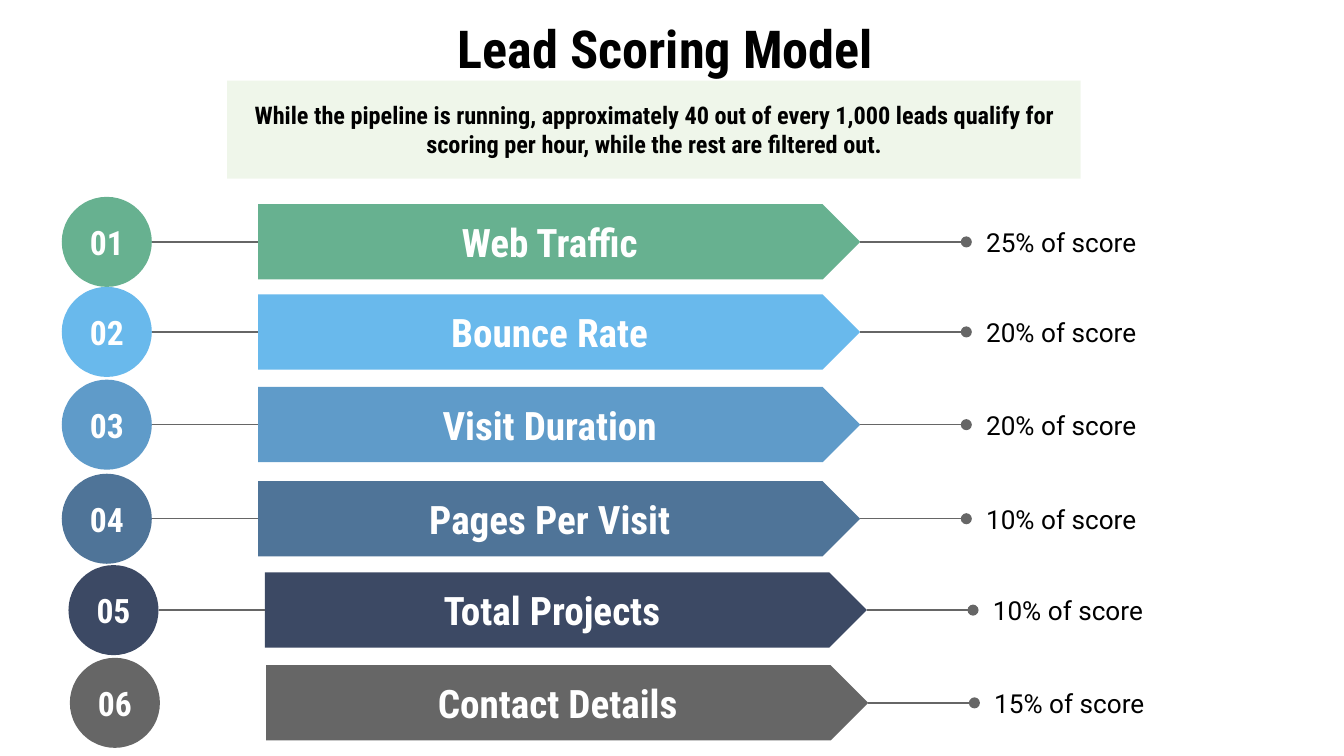
from lxml import etree
from pptx import Presentation
from pptx.dml.color import RGBColor
from pptx.enum.shapes import MSO_CONNECTOR, MSO_SHAPE
from pptx.enum.text import MSO_ANCHOR, MSO_AUTO_SIZE, PP_ALIGN
from pptx.oxml.ns import qn
from pptx.util import Inches, Pt

HEADING_FONT = "Roboto Condensed"
BODY_FONT = "Roboto"
GRAY = "666666"

BAR_WIDTH, BAR_HEIGHT = 4.48, 0.56
CIRCLE_SIZE = 0.67
LINK_LENGTH = 0.79
LABEL_WIDTH, LABEL_HEIGHT = 2.25, 0.44

# number, factor, weight, colour, left of circle, top of bar
FACTORS = [
    ("01", "Web Traffic", " 25% of score", "67B190", 0.46, 1.52),
    ("02", "Bounce Rate", " 20% of score", "69B9EC", 0.46, 2.19),
    ("03", "Visit Duration", " 20% of score", "5F9BC9", 0.46, 2.88),
    ("04", "Pages Per Visit", " 10% of score", "4F7498", 0.46, 3.58),
    ("05", "Total Projects ", " 10% of score", "3C4964", 0.51, 4.26),
    ("06", "Contact Details", " 15% of score", GRAY, 0.52, 4.95),
]


def color(value):
    return RGBColor.from_string(value)


def write(box, text, *, size, font=HEADING_FONT, fill="000000", bold=True,
          align=PP_ALIGN.CENTER):
    frame = box.text_frame
    frame.word_wrap = True
    frame.auto_size = MSO_AUTO_SIZE.NONE
    frame.vertical_anchor = MSO_ANCHOR.MIDDLE
    frame.margin_left = frame.margin_right = Inches(0.1)
    frame.margin_top = frame.margin_bottom = Inches(0.1)
    para = frame.paragraphs[0]
    para.alignment = align
    span = para.add_run()
    span.text = text
    span.font.name = font
    span.font.size = Pt(size)
    span.font.bold = bold
    span.font.color.rgb = color(fill)


class SlideBuilder:
    def __init__(self, page):
        self.page = page

    def title(self, text, left, top, width, height):
        box = self.page.shapes.title
        box.left, box.top = Inches(left), Inches(top)
        box.width, box.height = Inches(width), Inches(height)
        write(box, text, size=28)

    def shape(self, kind, left, top, width, height, fill, alpha=None):
        """Add a borderless filled shape; alpha is its opacity in percent."""
        shape = self.page.shapes.add_shape(
            kind, Inches(left), Inches(top), Inches(width), Inches(height))
        shape.shadow.inherit = False
        shape.fill.solid()
        shape.fill.fore_color.rgb = color(fill)
        shape.line.fill.background()
        if alpha is not None:
            tint = shape.element.spPr.find(qn("a:solidFill"))[0]
            etree.SubElement(tint, qn("a:alpha"), val=str(alpha * 1000))
        return shape

    def label(self, text, left, top, width, height):
        box = self.page.shapes.add_textbox(
            Inches(left), Inches(top), Inches(width), Inches(height))
        write(box, text, size=14, font=BODY_FONT, bold=False, align=PP_ALIGN.LEFT)

    def link(self, start, end, y, dot=False):
        """Add a horizontal line, with a dot at its end if asked for."""
        line = self.page.shapes.add_connector(
            MSO_CONNECTOR.STRAIGHT, Inches(start), Inches(y), Inches(end), Inches(y))
        line.line.color.rgb = color(GRAY)
        line.line.width = Pt(0.75)
        properties = line.element.spPr
        if dot:
            etree.SubElement(properties.find(qn("a:ln")), qn("a:tailEnd"), type="oval")
        etree.SubElement(properties, qn("a:effectLst"))
        return line

    def factor(self, number, name, weight, fill, left, top):
        """Add one row: numbered circle, arrow bar and weight."""
        middle = top + BAR_HEIGHT / 2
        circle_right = left + CIRCLE_SIZE
        bar_left = circle_right + LINK_LENGTH
        bar_right = bar_left + BAR_WIDTH
        label_left = bar_right + LINK_LENGTH

        bar = self.shape(MSO_SHAPE.PENTAGON, bar_left, top, BAR_WIDTH, BAR_HEIGHT, fill)
        write(bar, name, size=21, fill="FFFFFF")
        circle = self.shape(MSO_SHAPE.OVAL, left, middle - CIRCLE_SIZE / 2,
                            CIRCLE_SIZE, CIRCLE_SIZE, fill)
        write(circle, number, size=18, fill="FFFFFF")
        self.label(weight, label_left, middle - LABEL_HEIGHT / 2, LABEL_WIDTH, LABEL_HEIGHT)
        self.link(bar_right, label_left, middle, dot=True).begin_connect(bar, 3)
        if number != "06":
            self.link(circle_right, bar_left, middle).end_connect(bar, 1)


def main():
    deck = Presentation()
    deck.slide_width = Inches(10)
    deck.slide_height = Inches(10 * 9 / 16)
    builder = SlideBuilder(deck.slides.add_slide(deck.slide_layouts[5]))

    builder.title("Lead Scoring Model", 0.45, 0.15, 9, 0.41)
    banner = builder.shape(MSO_SHAPE.RECTANGLE, 1.69, 0.6, 6.35, 0.73, "89BB63", alpha=13)
    write(banner, "While the pipeline is running, approximately 40 out of every 1,000 "
          "leads qualify for scoring per hour, while the rest are filtered out.", size=13)
    for row in FACTORS:
        builder.factor(*row)

    deck.save("out.pptx")


if __name__ == "__main__":
    main()
